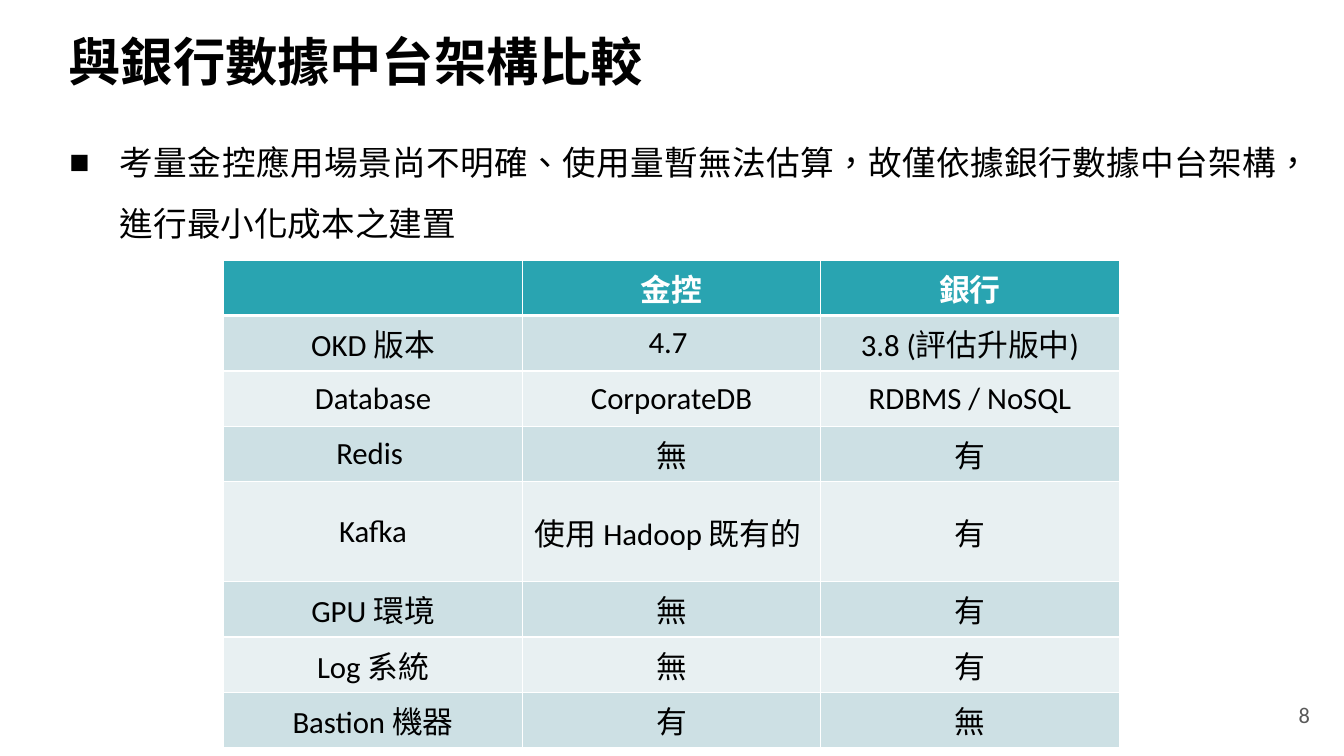
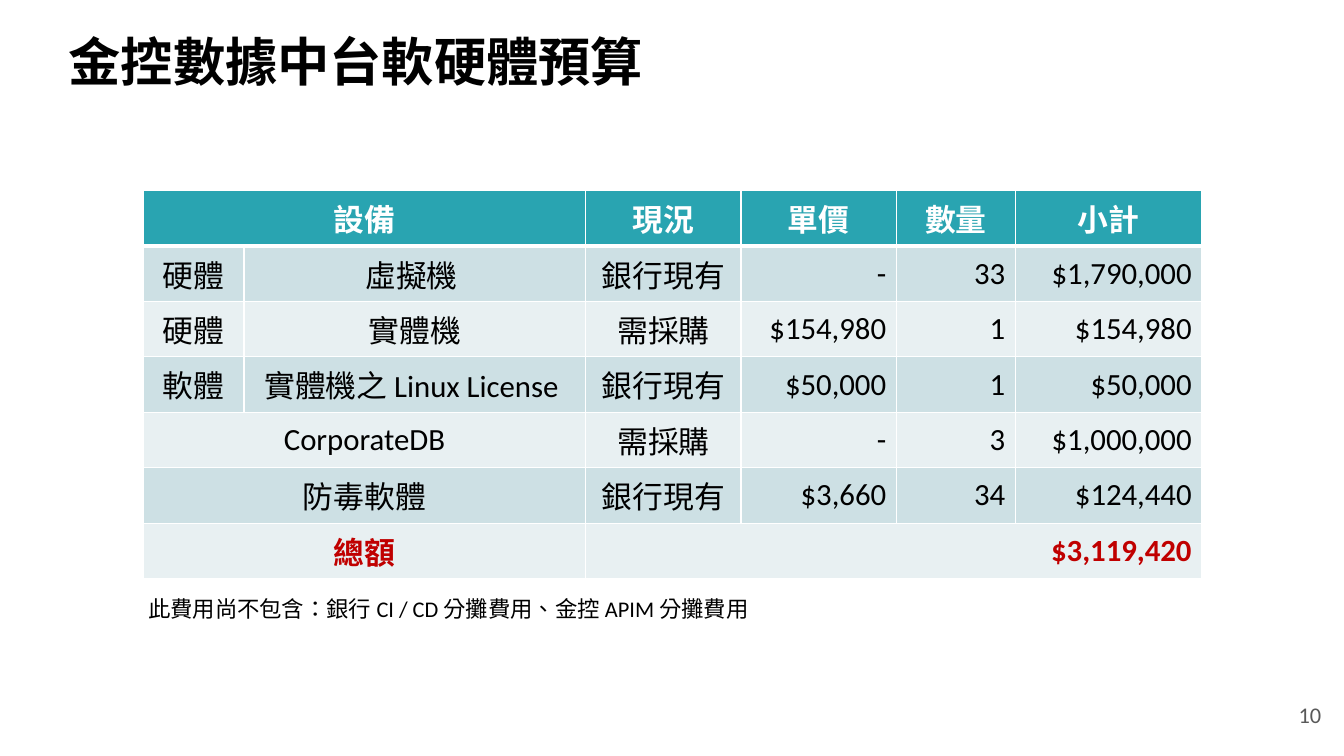
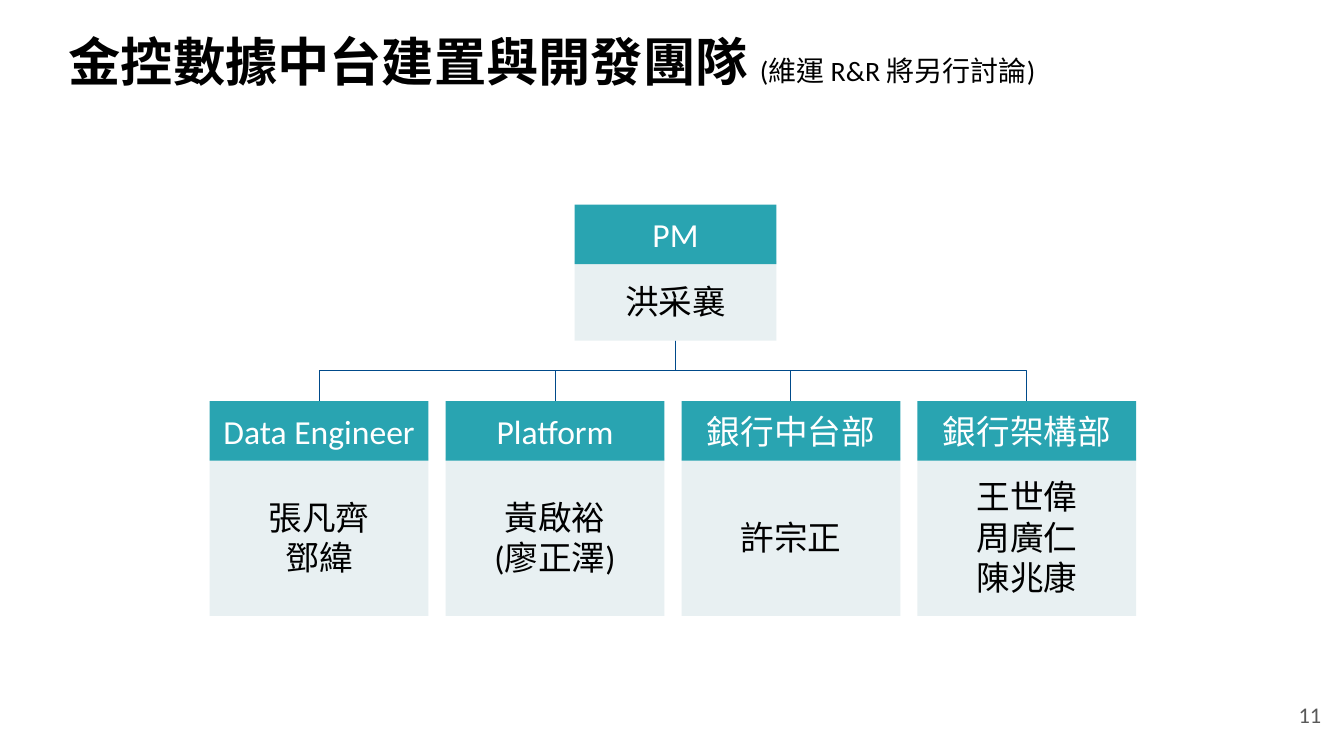
from pptx import Presentation
from pptx.dml.color import RGBColor
from pptx.enum import lang, shapes, text
from pptx.oxml.ns import qn
from pptx.util import Inches, Pt
from lxml import etree

SLIDES = [
    dict(page="8", title="與銀行數據中台架構比較"),
    dict(page="10", title="金控數據中台軟硬體預算"),
    dict(page="11", title="金控數據中台建置與開發團隊 ", aside="(維運 R&R 將另行討論)"),
]
POINT = "考量金控應用場景尚不明確、使用量暫無法估算，故僅依據銀行數據中台架構，進行最小化成本之建置"
STACKS = [
    ("", "金控", "銀行"),
    ("OKD 版本", "4.7 ", "3.8 (評估升版中)"),
    ("Database", "CorporateDB", "RDBMS / NoSQL"),
    ("Redis ", "無", "有"),
    ("Kafka", "使用 Hadoop 既有的 ", "有"),
    ("GPU 環境", "無", "有"),
    ("Log 系統", "無", "有"),
    ("Bastion 機器", "有", "無"),
]
# None joins a cell to the one on its left.
BUDGET = [
    ("設備", None, "現況", "單價", "數量", "小計"),
    ("硬體", "虛擬機 ", "銀行現有", "-", "33", "$1,790,000"),
    ("硬體", "實體機", "需採購", "$154,980", "1", "$154,980"),
    ("軟體", "實體機之 Linux License ", "銀行現有", "$50,000", "1", "$50,000"),
    ("CorporateDB", None, "需採購", "-", "3", "$1,000,000"),
    ("防毒軟體", None, "銀行現有", "$3,660", "34", "$124,440"),
    ("總額", None, "$3,119,420", None, None, None),
]
NOTE = "此費用尚不包含：銀行 CI / CD 分攤費用、金控 APIM 分攤費用"
LEAD = ("PM", ["洪采襄"])
TEAMS = [
    ("Data Engineer", ["張凡齊", "鄧緯"]),
    ("Platform", ["黃啟裕", "(廖正澤)"]),
    ("銀行中台部", ["許宗正"]),
    ("銀行架構部", ["王世偉", "周廣仁", "陳兆康"]),
]


class Theme:
    font = "Calibri"
    ink, white, grey, red = "000000", "FFFFFF", "595959", "C00000"
    teal, band, pale, line = "29A4B1", "CDE0E4", "E8F0F2", "004A8A"
    head, body, cell, aside, small = 37.3, 24, 22, 20, 16


ALIGN, MIDDLE = text.PP_ALIGN, text.MSO_ANCHOR.MIDDLE


def rgb(code):
    return RGBColor.from_string(code)


def box(*sides):
    return [Inches(side) for side in sides]


def write(para, words, size, color=Theme.ink, bold=False):
    run = para.add_run()
    run.text = words
    run.font.color.rgb = rgb(color)
    look = dict(name=Theme.font, size=Pt(size), bold=bold,
                language_id=lang.MSO_LANGUAGE_ID.TRADITIONAL_CHINESE)
    for key, value in look.items():
        setattr(run.font, key, value)


def add_page(deck, page, title, aside=None):
    """Add a slide with its title and page number."""
    slide = deck.slides.add_slide(deck.slide_layouts[5])
    head = slide.shapes.title
    head.left, head.top, head.width, head.height = box(0.58, 0.3, 12.18, 0.61)
    frame = head.text_frame
    frame.auto_size = text.MSO_AUTO_SIZE.NONE
    frame.vertical_anchor = MIDDLE
    para = frame.paragraphs[0]
    para.alignment = ALIGN.LEFT
    write(para, title, Theme.head, bold=True)
    if aside:
        write(para, aside, Theme.aside)

    frame = slide.shapes.add_textbox(*box(12.75, 6.88, 0.58, 0.42)).text_frame
    frame.vertical_anchor = MIDDLE
    frame.margin_left = frame.margin_right = Inches(0.13)
    write(frame.paragraphs[0], page, Theme.small, Theme.grey)
    return slide


def add_prose(slide, place, words, size, bullet=None):
    frame = slide.shapes.add_textbox(*box(*place)).text_frame
    frame.word_wrap = True
    para = frame.paragraphs[0]
    para.alignment, para.line_spacing = ALIGN.JUSTIFY, 1.5
    if bullet:
        props = para._p.get_or_add_pPr()
        props.set("marL", str(Inches(0.5)))
        props.set("indent", str(-Inches(0.5)))
        etree.SubElement(props, qn("a:buFont")).set("typeface", "Arial")
        etree.SubElement(props, qn("a:buChar")).set("char", bullet)
    write(para, words, size)


def underline(cell):
    """Give a cell a thick white lower border."""
    edge = etree.Element(qn("a:lnB"), w=str(Pt(3)))
    fill = etree.SubElement(edge, qn("a:solidFill"))
    etree.SubElement(fill, qn("a:srgbClr")).set("val", Theme.white)
    cell._tc.get_or_add_tcPr().insert(0, edge)


def add_grid(slide, left, top, widths, rows, right=99, total=False, tall=()):
    """Add a banded table.

    Columns from index `right` on align right; rows in `tall` hold two lines.
    """
    highs = [0.99 if r in tall else 0.55 for r in range(len(rows))]
    grid = slide.shapes.add_table(
        len(rows), len(widths), *box(left, top, sum(widths), sum(highs))).table
    for col, width in zip(grid.columns, widths):
        col.width = Inches(width)
    for r, row in enumerate(rows):
        grid.rows[r].height = Inches(highs[r])
        head, last = r == 0, total and r == len(rows) - 1
        fill = Theme.teal if head else Theme.band if r % 2 else Theme.pale
        color = Theme.white if head else Theme.red if last else Theme.ink
        for c, words in enumerate(row):
            cell = grid.cell(r, c)
            cell.fill.solid()
            cell.fill.fore_color.rgb = rgb(fill)
            if head:
                underline(cell)
            if words is None:
                continue
            end = c
            while end + 1 < len(row) and row[end + 1] is None:
                end += 1
            if end > c:
                cell.merge(grid.cell(r, end))
            cell.vertical_anchor = MIDDLE
            para = cell.text_frame.paragraphs[0]
            para.alignment = ALIGN.RIGHT if end >= right and not head else ALIGN.CENTER
            write(para, words, Theme.cell, color, head or last)


def add_block(slide, place, lines, fill, color):
    block = slide.shapes.add_shape(shapes.MSO_SHAPE.RECTANGLE, *box(*place))
    block.shadow.inherit = False
    block.fill.solid()
    block.fill.fore_color.rgb = rgb(fill)
    block.line.fill.background()
    frame = block.text_frame
    frame.vertical_anchor = MIDDLE
    for i, words in enumerate(lines):
        para = frame.add_paragraph() if i else frame.paragraphs[0]
        para.alignment = ALIGN.CENTER
        write(para, words, Theme.body, color)


def add_card(slide, left, top, width, deep, card):
    role, names = card
    add_block(slide, (left, top + 0.56, width, deep), names, Theme.pale, Theme.ink)
    add_block(slide, (left, top, width, 0.59), [role], Theme.teal, Theme.white)


def add_elbow(slide, x1, y1, x2, y2):
    """Join two points by a bent line that leaves downwards."""
    midx, midy = (x1 + x2) / 2, (y1 + y2) / 2
    long, wide = (y2 - y1) / 2, abs(x2 - x1) / 2
    link = slide.shapes.add_connector(
        shapes.MSO_CONNECTOR.ELBOW,
        *box(midx - long, midy - wide, midx + long, midy + wide))
    link.line.color.rgb = rgb(Theme.line)
    link.line.width = Pt(0.75)
    props = link.element.spPr
    etree.SubElement(props, qn("a:effectLst"))
    turn = dict(rot="5400000") if x2 < x1 else dict(rot="16200000", flipH="1")
    for key, value in turn.items():
        props.find(qn("a:xfrm")).set(key, value)


def main():
    deck = Presentation()
    deck.slide_width, deck.slide_height = box(13.33, 7.5)
    stack, cost, team = [add_page(deck, **page) for page in SLIDES]

    add_prose(stack, (0.59, 1.16, 12.18, 5.14), POINT, Theme.body, "■")
    add_grid(stack, 2.22, 2.58, [2.96] * 3, STACKS, tall=[4])

    add_prose(cost, (1.37, 5.72, 6.31, 0.56), NOTE, Theme.small)
    add_grid(cost, 1.42, 1.89, [1, 3.39, 1.54, 1.54, 1.18, 1.85], BUDGET,
             right=3, total=True)

    add_card(team, 5.7, 2.03, 2, 0.79, LEAD)
    wide, step, top = 2.17, 2.34, 3.98
    for i, card in enumerate(TEAMS):
        left = 2.08 + i * step
        add_elbow(team, 6.7, 3.38, left + wide / 2, top)
        add_card(team, left, top, wide, 1.57, card)

    deck.save("out.pptx")


if __name__ == "__main__":
    main()
